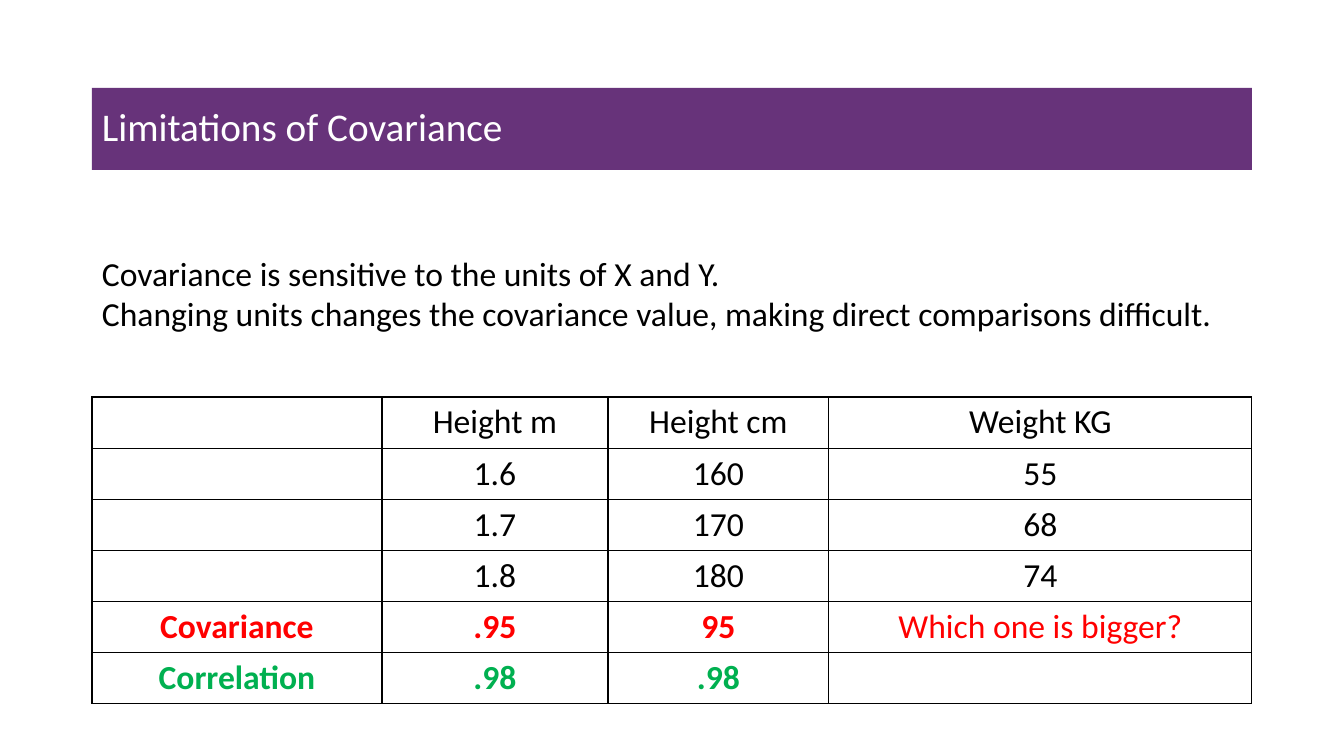
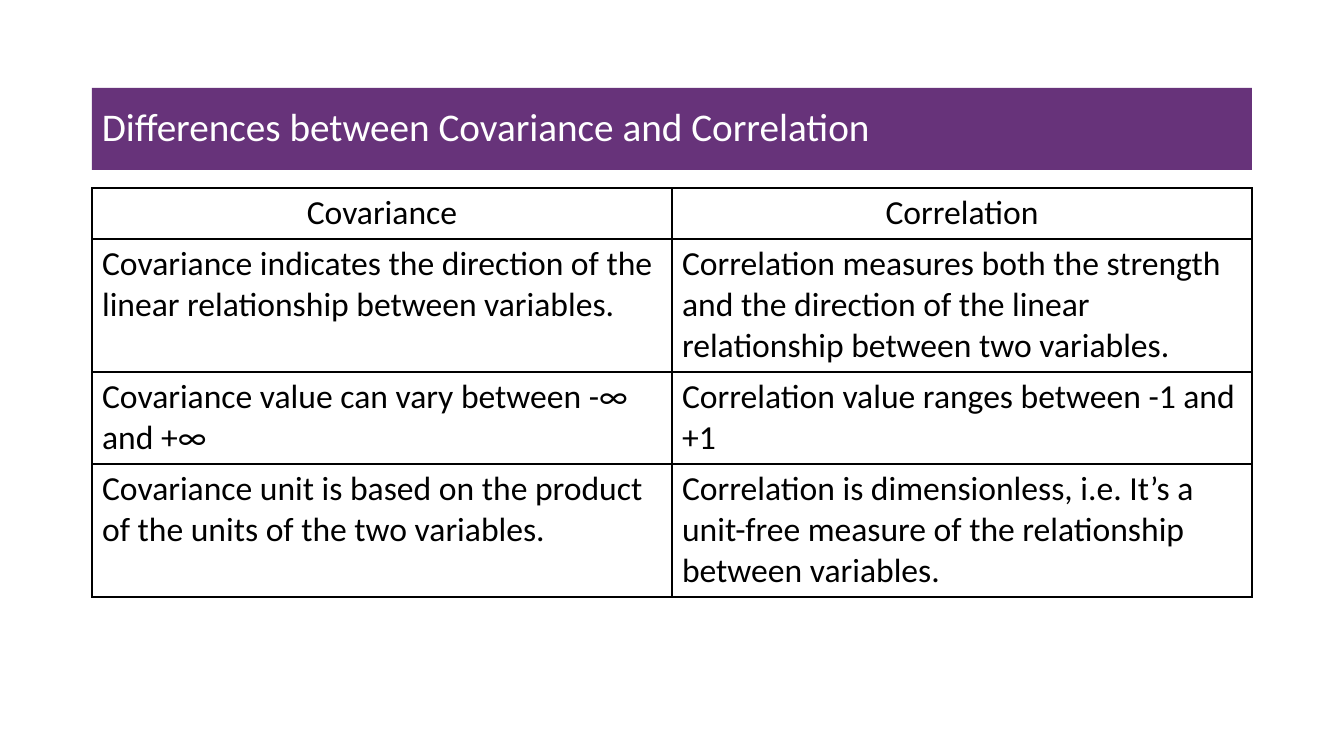
"""Build two slides that compare covariance with correlation."""
from lxml import etree
from pptx import Presentation
from pptx import util as u
from pptx.dml.color import RGBColor
from pptx.enum import shapes, text
from pptx.oxml import ns

SCALE = 914400 / 100.8
LEFT, WIDE = 92, 1160
PURPLE, WHITE, BLACK, RED, GREEN = "67337A", "FFFFFF", "000000", "FF0000", "00B050"
BODY = {"name": "Calibri", "size": u.Pt(24), "bold": False}
TITLE = {**BODY, "size": u.Pt(28)}
MID, START = text.PP_ALIGN.CENTER, text.PP_ALIGN.LEFT

SLIDES = [
    {
        "title": "Limitations of Covariance",
        "notes": [
            "Covariance is sensitive to the units of X and Y.",
            "Changing units changes the covariance value, making direct comparisons difficult.",
        ],
        "top": 397,
        "cols": [290, 226, 221, 423],
        "rows": [51] * 6,
        "align": MID,
        "tints": {4: RED, 5: GREEN},
        "cells": [
            ["", "Height m", "Height cm", "Weight KG"],
            ["", "1.6", "160", "55"],
            ["", "1.7", "170", "68"],
            ["", "1.8", "180", "74"],
            ["Covariance", ".95", "95", "Which one is bigger?"],
            ["Correlation", ".98", ".98", ""],
        ],
    },
    {
        "title": "Differences between Covariance and Correlation",
        "notes": [],
        "top": 188,
        "cols": [580, 580],
        "rows": [51, 133, 92, 133],
        "align": START,
        "tints": {},
        "cells": [
            ["Covariance", "Correlation"],
            ["Covariance indicates the direction of the linear relationship between variables.",
             "Correlation measures both the strength and the direction of the linear "
             "relationship between two variables."],
            ["Covariance value can vary between -∞ and +∞",
             "Correlation value ranges between -1 and +1"],
            ["Covariance unit is based on the product of the units of the two variables.",
             "Correlation is dimensionless, i.e. It’s a unit-free measure of the "
             "relationship between variables."],
        ],
    },
]


def px(n):
    """Turn pixels into EMU."""
    return u.Emu(round(n * SCALE))


def color(code):
    """Turn a hex string into a colour."""
    return RGBColor.from_string(code)


def paint(part, code):
    """Fill a shape or cell with one colour."""
    part.fill.solid()
    part.fill.fore_color.rgb = color(code)


def write(para, words, look, code, align=START):
    """Put formatted words into a paragraph."""
    para.alignment = align
    run = para.add_run()
    run.text = words
    for key, value in look.items():
        setattr(run.font, key, value)
    run.font.color.rgb = color(code)


def border(cell):
    """Draw a thin black line on each side of a cell."""
    props = cell._tc.get_or_add_tcPr()
    for spot, side in enumerate(("lnL", "lnR", "lnT", "lnB")):
        line = etree.Element(ns.qn(f"a:{side}"), w=str(u.Pt(1)))
        fill = etree.SubElement(line, ns.qn("a:solidFill"))
        etree.SubElement(fill, ns.qn("a:srgbClr"), val=BLACK)
        props.insert(spot, line)


def add_title(slide, words):
    """Add the purple title band."""
    band = slide.shapes.add_shape(
        shapes.MSO_SHAPE.RECTANGLE, *map(px, (LEFT, 88, WIDE, 82)))
    band.shadow.inherit = False
    band.line.fill.background()
    paint(band, PURPLE)
    band.text_frame.vertical_anchor = text.MSO_ANCHOR.MIDDLE
    para = band.text_frame.paragraphs[0]
    para.line_spacing = 0.9
    write(para, words, TITLE, WHITE)


def add_notes(slide, lines):
    """Add the body lines below the title."""
    frame = slide.shapes.add_textbox(*map(px, (LEFT, 248, 1216, 92))).text_frame
    frame.word_wrap = True
    for i, words in enumerate(lines):
        para = frame.add_paragraph() if i else frame.paragraphs[0]
        write(para, words, BODY, BLACK)


def add_grid(slide, data):
    """Add the bordered table."""
    cols, rows = data["cols"], data["rows"]
    table = slide.shapes.add_table(
        len(rows), len(cols),
        *map(px, (LEFT, data["top"], sum(cols), sum(rows)))).table
    table.first_row = table.horz_banding = False
    for col, size in zip(table.columns, cols):
        col.width = px(size)
    for r, (row, size) in enumerate(zip(table.rows, rows)):
        row.height = px(size)
        tint = data["tints"].get(r)
        align = data["align"] if r else MID
        for cell, words in zip(row.cells, data["cells"][r]):
            paint(cell, WHITE)
            border(cell)
            if words:
                bold = bool(tint) and not words.endswith("?")
                write(cell.text_frame.paragraphs[0], words,
                      {**BODY, "bold": bold}, tint or BLACK, align)


def main():
    """Build and save the deck."""
    deck = Presentation()
    deck.slide_width, deck.slide_height = px(1344), px(756)
    for data in SLIDES:
        slide = deck.slides.add_slide(deck.slide_layouts[6])
        add_title(slide, data["title"])
        add_grid(slide, data)
        if data["notes"]:
            add_notes(slide, data["notes"])
    deck.save("out.pptx")


if __name__ == "__main__":
    main()
